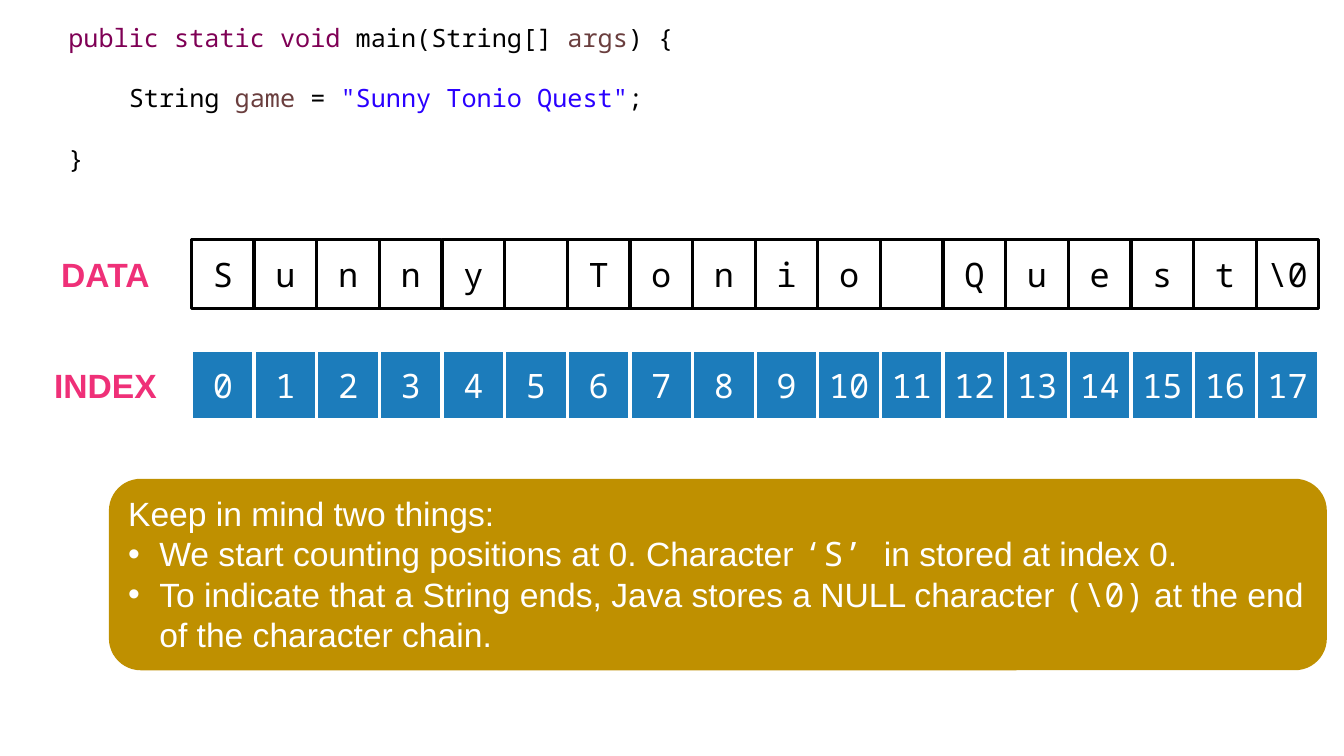
import dataclasses

import lxml.etree
import pptx
import pptx.dml.color
import pptx.enum.shapes
import pptx.enum.text
import pptx.oxml.ns
import pptx.util

Inches = pptx.util.Inches
Pt = pptx.util.Pt
Align = pptx.enum.text.PP_ALIGN
Anchor = pptx.enum.text.MSO_ANCHOR
Shape = pptx.enum.shapes.MSO_SHAPE


@dataclasses.dataclass(frozen=True)
class Theme:
    black: str = "000000"
    white: str = "FFFFFF"
    label: str = "EF3078"
    index: str = "1C7CBB"
    note: str = "BF9000"
    keyword: str = "7F0055"
    variable: str = "6A3E3E"
    literal: str = "2A00FF"
    sans: str = "Arial"
    mono: str = "Noto Sans Mono"
    code_size: float = 18
    body_size: float = 24
    leading: float = 1.2
    border: float = 2.25


def rgb(value):
    return pptx.dml.color.RGBColor.from_string(value)


def add_run(paragraph, text, *, font, size, color, bold=False):
    run = paragraph.add_run()
    run.text = text
    run.font.name = font
    run.font.size = Pt(size)
    run.font.color.rgb = rgb(color)
    run.font.bold = bold


def add_bullet(paragraph, indent, font):
    properties = paragraph._p.get_or_add_pPr()
    properties.set("marL", str(Inches(indent)))
    properties.set("indent", str(Inches(-indent)))
    bullet_font = lxml.etree.SubElement(properties, pptx.oxml.ns.qn("a:buFont"))
    bullet_font.set("typeface", font)
    bullet = lxml.etree.SubElement(properties, pptx.oxml.ns.qn("a:buChar"))
    bullet.set("char", "•")


class StringSlide:
    def __init__(self, slide, theme):
        self.slide = slide
        self.theme = theme

    def box(self, kind, left, top, width, height, fill=None, line=None):
        shape = self.slide.shapes.add_shape(
            kind, Inches(left), Inches(top), Inches(width), Inches(height))
        shape.shadow.inherit = False
        if fill:
            shape.fill.solid()
            shape.fill.fore_color.rgb = rgb(fill)
        else:
            shape.fill.background()
        if line:
            shape.line.color.rgb = rgb(line)
            shape.line.width = Pt(self.theme.border)
        else:
            shape.line.fill.background()
        shape.text_frame.word_wrap = True
        return shape

    def cell(self, text, left, top, width, height, fill=None, line=None, **style):
        frame = self.box(Shape.RECTANGLE, left, top, width, height, fill, line).text_frame
        frame.vertical_anchor = Anchor.MIDDLE
        # The widest entries fill the cell, so the side margins are dropped.
        frame.margin_left = frame.margin_right = 0
        if text.strip():
            paragraph = frame.paragraphs[0]
            paragraph.alignment = Align.CENTER
            add_run(paragraph, text, size=self.theme.body_size, **style)

    def row(self, label, entries, top, *, fill, line, color):
        """Draw a label and one equal cell for each entry."""
        theme = self.theme
        left, last_left, width, height = 1.9, 12.46, 0.62, 0.68
        pitch = (last_left - left) / (len(entries) - 1)
        self.cell(label, 0.42, top, 1.25, height, line=theme.white,
                  font=theme.sans, color=theme.label, bold=True)
        for position, entry in enumerate(entries):
            self.cell(entry, left + position * pitch, top, width, height,
                      fill, line, font=theme.mono, color=color)

    def code(self, lines, left, top, width, height):
        theme = self.theme
        frame = self.slide.shapes.add_textbox(
            Inches(left), Inches(top), Inches(width), Inches(height)).text_frame
        frame.word_wrap = True
        leading = Pt(theme.code_size * theme.leading)
        for number, line in enumerate(lines):
            paragraph = frame.add_paragraph() if number else frame.paragraphs[0]
            paragraph.line_spacing = leading
            if number:
                paragraph.space_before = leading
            for text, color in line:
                add_run(paragraph, text, font=theme.mono, size=theme.code_size, color=color)

    def note(self, heading, points, left, top, width, height):
        theme = self.theme
        frame = self.box(Shape.ROUNDED_RECTANGLE, left, top, width, height, theme.note).text_frame
        frame.vertical_anchor = Anchor.TOP
        for number, pieces in enumerate([[(heading, theme.sans)], *points]):
            paragraph = frame.add_paragraph() if number else frame.paragraphs[0]
            paragraph.alignment = Align.LEFT
            paragraph.line_spacing = Pt(theme.body_size * theme.leading)
            if number:
                add_bullet(paragraph, 0.31, theme.sans)
            for text, font in pieces:
                add_run(paragraph, text, font=font, size=theme.body_size, color=theme.white)


def main():
    deck = pptx.Presentation()
    deck.slide_width = Inches(13.33)
    deck.slide_height = Inches(7.5)
    theme = Theme()
    page = StringSlide(deck.slides.add_slide(deck.slide_layouts[6]), theme)

    game = "Sunny Tonio Quest"
    page.code([
        [("public static void", theme.keyword), (" main(String[] ", theme.black),
         ("args", theme.variable), (") {", theme.black)],
        [("    String ", theme.black), ("game", theme.variable), (" = ", theme.black),
         (f'"{game}"', theme.literal), (";", theme.black)],
        [("}", theme.black)],
    ], 0.58, 0.17, 7, 1.67)

    characters = [*game, r"\0"]
    indexes = [str(index) for index in range(len(characters))]
    page.row("DATA", characters, 2.38, fill=None, line=theme.black, color=theme.black)
    page.row("INDEX", indexes, 3.48, fill=theme.index, line=theme.white, color=theme.white)

    page.note("Keep in mind two things:", [
        [("We start counting positions at 0. Character ", theme.sans),
         ("‘S’ ", theme.mono), ("in stored at index 0.", theme.sans)],
        [("To indicate that a String ends, Java stores a NULL character ", theme.sans),
         (r"(\0)", theme.mono), (" at the end of the character chain.", theme.sans)],
    ], 1.08, 4.75, 12.08, 1.9)

    deck.save("out.pptx")


if __name__ == "__main__":
    main()
